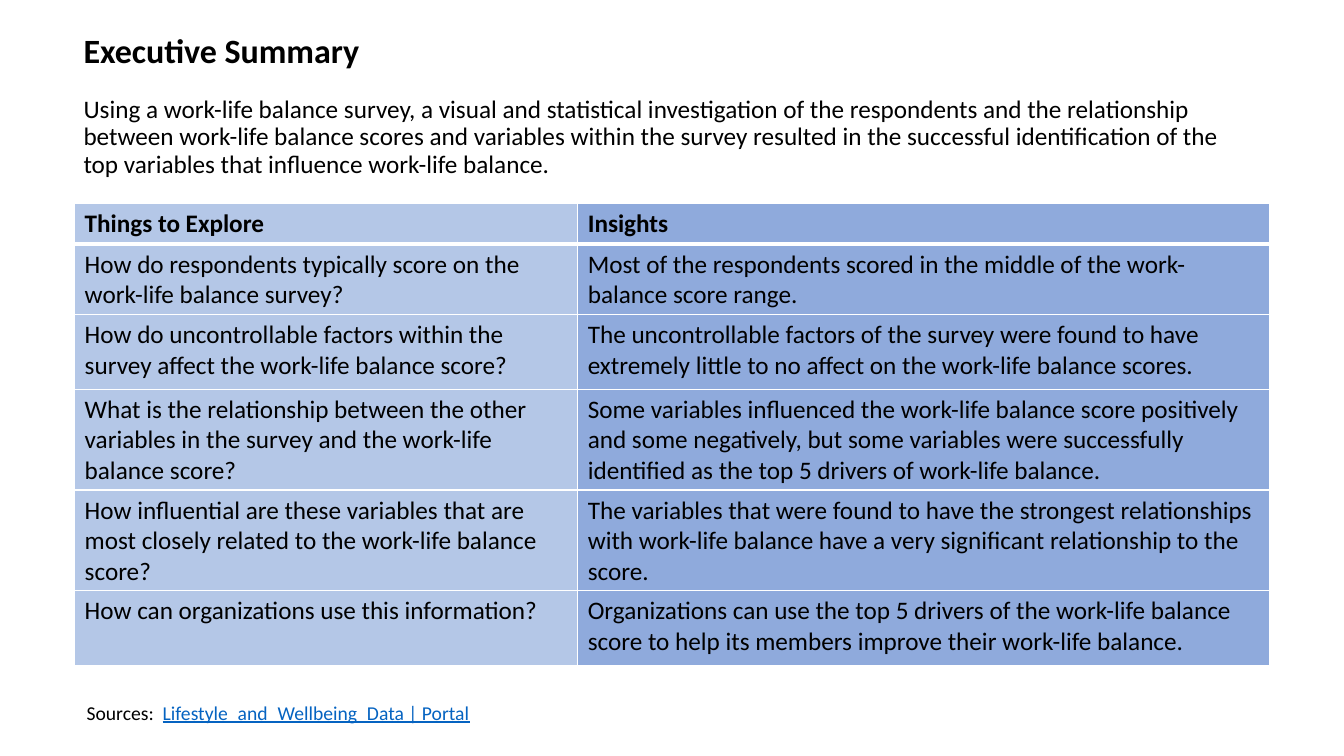
from lxml.etree import SubElement
from pptx import Presentation
from pptx.dml.color import RGBColor
from pptx.enum.text import MSO_ANCHOR
from pptx.oxml.ns import qn
from pptx.util import Inches, Pt

BLACK = RGBColor(0x00, 0x00, 0x00)
WHITE = RGBColor(0xFF, 0xFF, 0xFF)
LINK_BLUE = RGBColor(0x05, 0x63, 0xC1)
COLUMN_FILLS = (RGBColor(0xB4, 0xC7, 0xE7), RGBColor(0x8F, 0xAA, 0xDC))

COLUMN_WIDTHS = (4.99, 6.86)
ROW_HEIGHTS = (0.36, 0.63, 0.74, 0.96, 0.9, 0.74)
SUMMARY = (
    "Using a work-life balance survey, a visual and statistical investigation of the "
    "respondents and the relationship between work-life balance scores and variables "
    "within the survey resulted in the successful identification of the top variables "
    "that influence work-life balance."
)
FINDINGS = (
    ("Things to Explore", "Insights"),
    ("How do respondents typically score on the work-life balance survey?",
     "Most of the respondents scored in the middle of the work-balance score range."),
    ("How do uncontrollable factors within the survey affect the work-life balance score?",
     "The uncontrollable factors of the survey were found to have extremely little to no "
     "affect on the work-life balance scores."),
    ("What is the relationship between the other variables in the survey and the "
     "work-life balance score?",
     "Some variables influenced the work-life balance score positively and some "
     "negatively, but some variables were successfully identified as the top 5 drivers "
     "of work-life balance."),
    ("How influential are these variables that are most closely related to the "
     "work-life balance score?",
     "The variables that were found to have the strongest relationships with work-life "
     "balance have a very significant relationship to the score."),
    ("How can organizations use this information?",
     "Organizations can use the top 5 drivers of the work-life balance score to help its "
     "members improve their work-life balance."),
)


class SlideBuilder:
    """Holds the text style and current slide, and adds its elements."""

    def __init__(self, slide, font="Calibri"):
        self.s = slide
        self.font = font

    def run(self, p, text, size, bold=False, color=BLACK, underline=False):
        r = p.add_run()
        r.text = text
        r.font.name = self.font
        r.font.size = Pt(size)
        r.font.bold = bold
        r.font.underline = underline
        r.font.color.rgb = color

    def text_box(self, left, top, width, height, anchor=MSO_ANCHOR.TOP):
        sp = self.s.shapes.add_textbox(
            Inches(left), Inches(top), Inches(width), Inches(height))
        tf = sp.text_frame
        tf.word_wrap = True
        tf.vertical_anchor = anchor
        return tf

    def heading(self, title, summary):
        tf = self.text_box(0.73, 0.26, 11.85, 1.59, MSO_ANCHOR.MIDDLE)
        p = tf.paragraphs[0]
        p.line_spacing = 0.9
        self.run(p, title, 24.3, bold=True)
        p = tf.add_paragraph()
        p.line_spacing = 0.9
        p.space_before = Pt(18.5)
        self.run(p, summary, 18)

    def sources(self, label, source):
        p = self.text_box(0.76, 6.9, 11.45, 0.34).paragraphs[0]
        self.run(p, label, 14)
        self.run(p, source, 14, color=LINK_BLUE, underline=True)

    def borders(self, cell, top, bottom):
        tc_pr = cell._tc.get_or_add_tcPr()
        for side, width in (("L", 1), ("R", 1), ("T", top), ("B", bottom)):
            ln = SubElement(tc_pr, qn(f"a:ln{side}"), w=str(Pt(width)))
            fill = SubElement(ln, qn("a:solidFill"))
            SubElement(fill, qn("a:srgbClr"), val=str(WHITE))

    def table(self, left, top, rows):
        frame = self.s.shapes.add_table(
            len(rows), len(COLUMN_WIDTHS), Inches(left), Inches(top),
            Inches(sum(COLUMN_WIDTHS)), Inches(sum(ROW_HEIGHTS)))
        table = frame.table
        for column, width in zip(table.columns, COLUMN_WIDTHS):
            column.width = Inches(width)
        for i, texts in enumerate(rows):
            table.rows[i].height = Inches(ROW_HEIGHTS[i])
            for j, text in enumerate(texts):
                cell = table.cell(i, j)
                self.borders(cell, 3 if i == 1 else 1, 3 if i == 0 else 1)
                cell.fill.solid()
                cell.fill.fore_color.rgb = COLUMN_FILLS[j]
                self.run(cell.text_frame.paragraphs[0], text, 18, bold=i == 0)


def main():
    prs = Presentation()
    prs.slide_width = Inches(13.33)
    prs.slide_height = Inches(7.5)
    builder = SlideBuilder(prs.slides.add_slide(prs.slide_layouts[6]))
    builder.heading("Executive Summary", SUMMARY)
    builder.sources("Sources:  ", "Lifestyle_and_Wellbeing_Data | Portal")
    builder.table(0.74, 2.02, FINDINGS)
    prs.save("out.pptx")


if __name__ == "__main__":
    main()
